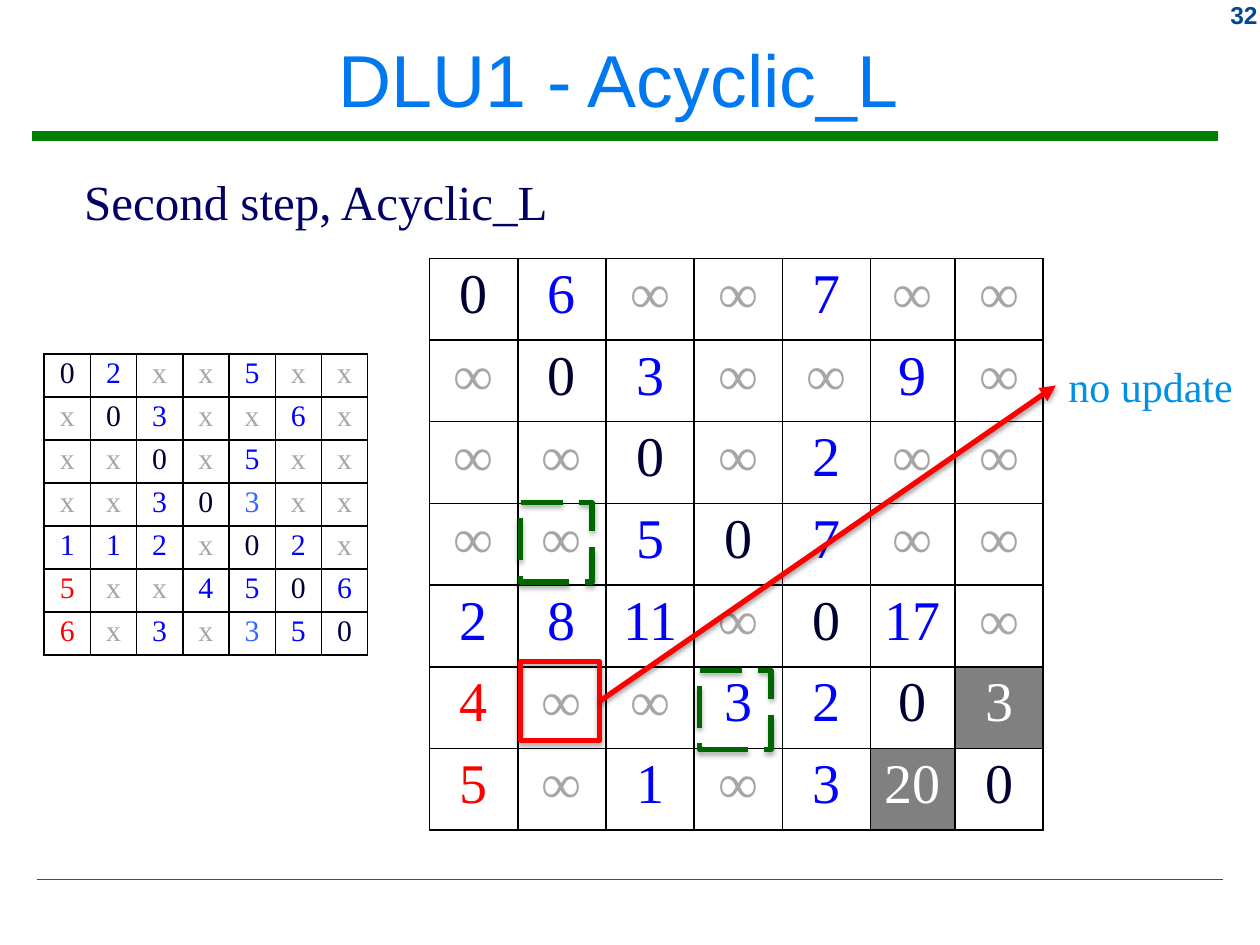
from dataclasses import dataclass

from lxml import etree
from pptx import Presentation
from pptx.dml.color import RGBColor
from pptx.enum.dml import MSO_LINE
from pptx.enum.shapes import MSO_CONNECTOR, MSO_SHAPE
from pptx.enum.text import MSO_ANCHOR, PP_ALIGN
from pptx.oxml import parse_xml
from pptx.oxml.ns import nsdecls, qn
from pptx.util import Inches, Pt

LEFT, CENTER, RIGHT = PP_ALIGN.LEFT, PP_ALIGN.CENTER, PP_ALIGN.RIGHT
MIDDLE = MSO_ANCHOR.MIDDLE
STRAIGHT = MSO_CONNECTOR.STRAIGHT
RECTANGLE = MSO_SHAPE.RECTANGLE
LONG_DASH = MSO_LINE.LONG_DASH
LEFT_SIDE, RIGHT_SIDE = 1, 3


@dataclass(frozen=True)
class Theme:
    """Fonts, colours and type sizes of the slide."""

    sans: str = "Arial"
    serif: str = "Times New Roman"
    title: str = "0078F0"
    page_number: str = "004992"
    rule: str = "008000"
    heading: str = "000066"
    note: str = "0090E5"
    current: str = "FF0000"
    compared: str = "006600"
    diagonal: str = "000033"
    value: str = "0000FF"
    light_value: str = "3366FF"
    missing: str = "A6A6A6"
    border: str = "000000"
    white: str = "FFFFFF"
    shaded: str = "808080"
    title_size: int = 42
    page_number_size: int = 14
    heading_size: int = 28
    note_size: int = 24
    distance_size: int = 32
    weight_size: int = 17


THEME = Theme()

DISTANCES = """
0 6 ∞ ∞ 7 ∞ ∞
∞ 0 3 ∞ ∞ 9 ∞
∞ ∞ 0 ∞ 2 ∞ ∞
∞ ∞ 5 0 7 ∞ ∞
2 8 11 ∞ 0 17 ∞
4 ∞ ∞ 3 2 0 3
5 ∞ 1 ∞ 3 20 0
"""
WEIGHTS = """
0 2 x x 5 x x
x 0 3 x x 6 x
x x 0 x 5 x x
x x 3 0 3 x x
1 1 2 x 0 2 x
5 x x 4 5 0 6
6 x 3 x 3 5 0
"""
SHADED_CELLS = {(5, 6), (6, 5)}
LIGHT_CELLS = {(3, 4), (6, 4)}


def rgb(color):
    """Turn a hex string into a colour."""
    return RGBColor.from_string(color)


def style_paragraph(para, text, font, size, color, align=LEFT, bold=False):
    """Fill one paragraph and set its look."""
    para.text = text
    para.alignment = align
    para.font.name = font
    para.font.size = Pt(size)
    para.font.bold = bold
    para.font.color.rgb = rgb(color)


def add_label(shapes, place, *style, **options):
    """Add a single-line text box."""
    box = shapes.add_textbox(*map(Inches, place))
    box.text_frame.word_wrap = False
    style_paragraph(box.text_frame.paragraphs[0], *style, **options)
    return box


def add_shadow(shape, opacity, distance):
    """Give a shape a soft shadow that falls straight down."""
    effects = shape.element.spPr.find(qn("a:effectLst"))
    effects.append(parse_xml(
        f'<a:outerShdw {nsdecls("a")} blurRad="{Pt(3.1)}" dist="{Pt(distance)}" '
        f'dir="5400000" rotWithShape="0"><a:srgbClr val="000000">'
        f'<a:alpha val="{opacity * 1000}"/></a:srgbClr></a:outerShdw>'))


def add_line(shapes, start, end, color, width):
    """Add a straight line without a shadow."""
    line = shapes.add_connector(STRAIGHT, *map(Inches, (*start, *end)))
    line.line.color.rgb = rgb(color)
    line.line.width = Pt(width)
    etree.SubElement(line.element.spPr, qn("a:effectLst"))
    return line


def add_frame(shapes, place, color, dash=None):
    """Add an unfilled rectangle that marks a cell."""
    frame = shapes.add_shape(RECTANGLE, *map(Inches, place))
    frame.fill.background()
    frame.line.color.rgb = rgb(color)
    frame.line.width = Pt(3)
    if dash is not None:
        frame.line.dash_style = dash
    frame.shadow.inherit = False
    add_shadow(frame, 35, 1.8)
    return frame


def set_borders(cell):
    """Draw a thin line on each side of a cell."""
    properties = cell._tc.get_or_add_tcPr()
    for side in ("lnL", "lnR", "lnT", "lnB"):
        properties.append(parse_xml(
            f'<a:{side} {nsdecls("a")} w="{Pt(1)}"><a:solidFill>'
            f'<a:srgbClr val="{THEME.border}"/></a:solidFill></a:{side}>'))


def value_color(row, column, text, light_cells):
    """Choose a value's colour from its place and meaning."""
    if text in "∞x":
        return THEME.missing
    if row == column:
        return THEME.diagonal
    if column == 0 and row > 4:
        return THEME.current
    return THEME.light_value if (row, column) in light_cells else THEME.value


def add_matrix(shapes, values, left, top, widths, height, size, insets,
               shaded_cells=(), light_cells=()):
    """Add a bordered table of matrix values."""
    rows = [line.split() for line in values.strip().splitlines()]
    place = map(Inches, (left, top, sum(widths), height))
    table = shapes.add_table(len(rows), len(widths), *place).table
    table.first_row = table.horz_banding = False
    for column, width in zip(table.columns, widths):
        column.width = Inches(width)
    for r, row in enumerate(rows):
        table.rows[r].height = Inches(height / len(rows))
        for c, text in enumerate(row):
            cell = table.cell(r, c)
            shaded = (r, c) in shaded_cells
            color = THEME.white if shaded else value_color(r, c, text, light_cells)
            cell.margin_left = cell.margin_right = Inches(insets[0])
            cell.margin_top = cell.margin_bottom = Inches(insets[1])
            set_borders(cell)
            cell.fill.solid()
            cell.fill.fore_color.rgb = rgb(THEME.shaded if shaded else THEME.white)
            style_paragraph(cell.text_frame.paragraphs[0], text, THEME.serif,
                            size, color, CENTER)


def add_title(slide, text):
    """Place and format the slide title."""
    title = slide.shapes.title
    title.left, title.top, title.width, title.height = map(
        Inches, (0.08, 0.09, 9.8, 1.06))
    title.text_frame.vertical_anchor = MIDDLE
    style_paragraph(title.text_frame.paragraphs[0], text, THEME.sans,
                    THEME.title_size, THEME.title, CENTER)


def add_no_update(shapes):
    """Group the current cell's frame with its arrow and note."""
    group = shapes.add_group_shape().shapes
    frame = add_frame(group, (4.13, 5.25, 0.63, 0.63), THEME.current)
    arrow = add_line(group, (4.76, 5.56), (8.38, 3.06), THEME.current, 3)
    etree.SubElement(arrow.line._get_or_add_ln(), qn("a:tailEnd"), type="triangle")
    add_shadow(arrow, 38, 1.6)
    note = add_label(group, (8.38, 2.81, 1.52, 0.5), "no update", THEME.serif,
                     THEME.note_size, THEME.note)
    arrow.begin_connect(frame, RIGHT_SIDE)
    arrow.end_connect(note, LEFT_SIDE)


def main():
    """Build the slide and save it."""
    deck = Presentation()
    deck.slide_width, deck.slide_height = Inches(10), Inches(7.5)
    slide = deck.slides.add_slide(deck.slide_layouts[5])
    shapes = slide.shapes
    add_line(shapes, (0.25, 1.08), (9.67, 1.08), THEME.rule, 5.25)
    add_line(shapes, (0.29, 6.98), (9.71, 6.98), THEME.rule, 1)
    add_label(shapes, (9.17, -0.05, 0.91, 0.33), "32", THEME.sans,
              THEME.page_number_size, THEME.page_number, align=RIGHT, bold=True)
    add_title(slide, "DLU1 - Acyclic_L ")
    add_matrix(shapes, DISTANCES, 3.41, 2.05, [0.7] * 5 + [0.67, 0.7], 4.54,
               THEME.distance_size, (0.09, 0.04), shaded_cells=SHADED_CELLS)
    add_label(shapes, (0.57, 1.31, 3.91, 0.57), "Second step, Acyclic_L",
              THEME.serif, THEME.heading_size, THEME.heading)
    add_no_update(shapes)
    for left, top in ((4.13, 3.99), (5.55, 5.32)):
        add_frame(shapes, (left, top, 0.57, 0.63), THEME.compared, LONG_DASH)
    add_matrix(shapes, WEIGHTS, 0.35, 2.81, [2.57 / 7] * 7, 2.39,
               THEME.weight_size, (0.05, 0.02), light_cells=LIGHT_CELLS)
    deck.save("out.pptx")


if __name__ == "__main__":
    main()
